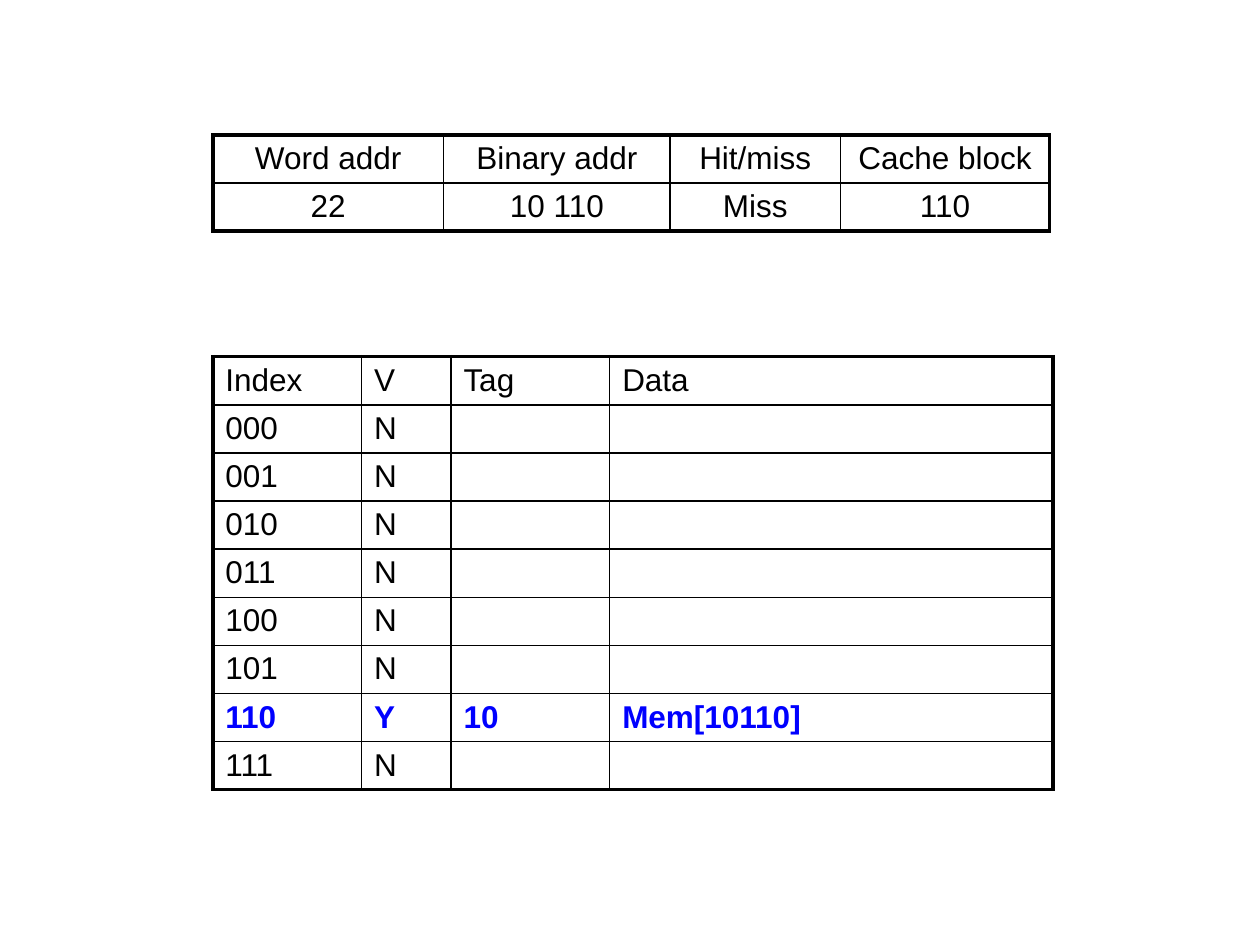
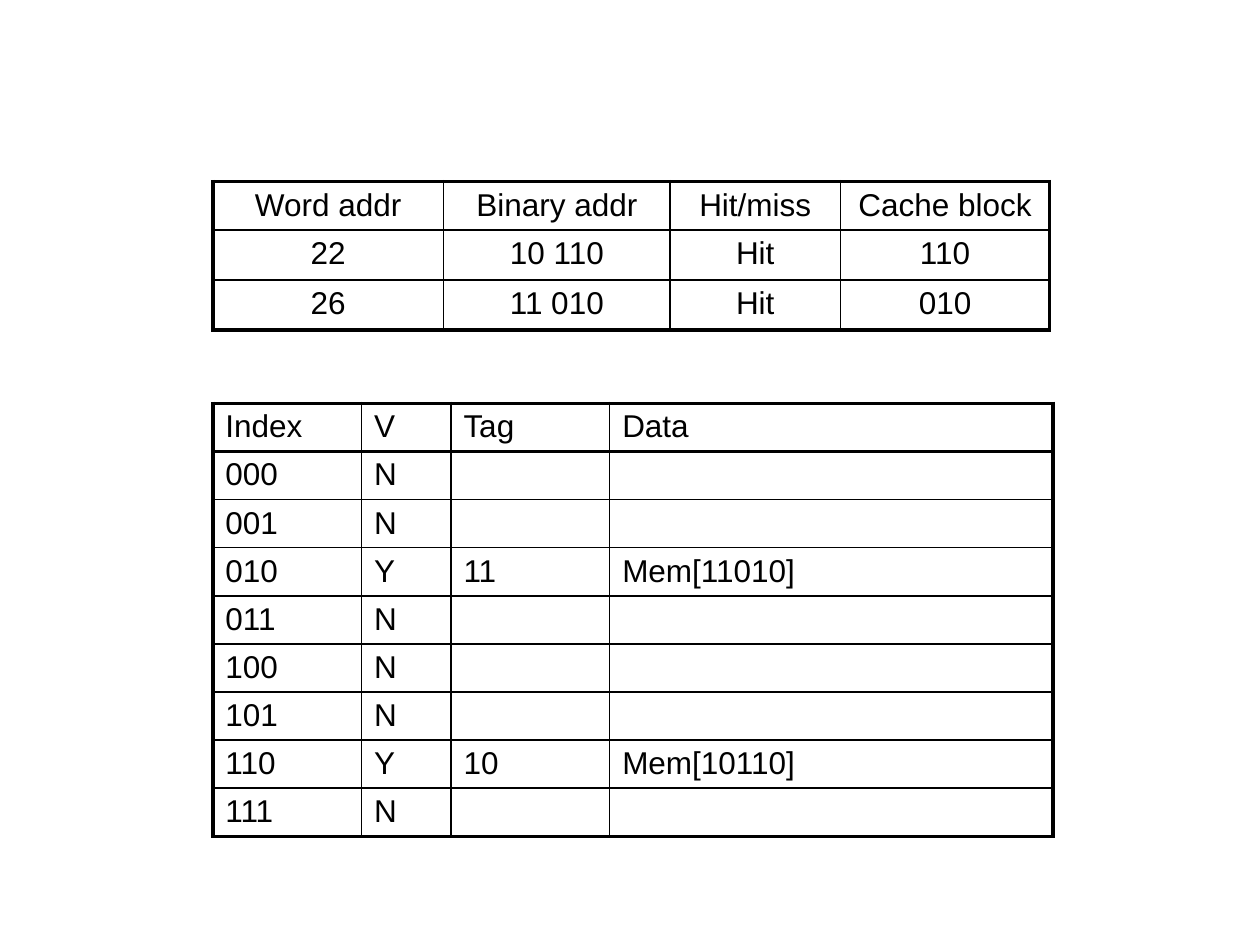
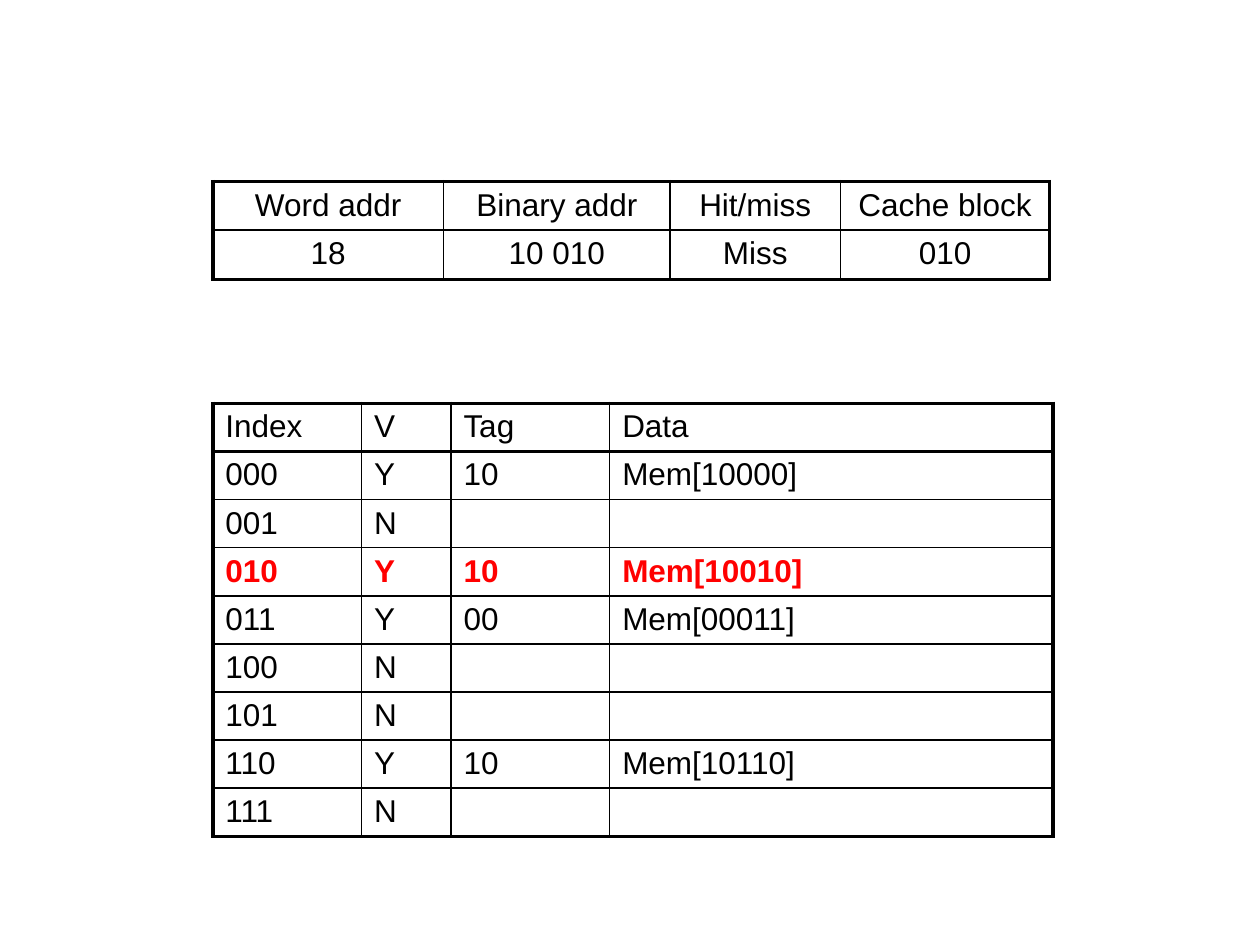
from dataclasses import dataclass

from lxml import etree
from pptx import Presentation
from pptx import util as u
from pptx.dml.color import RGBColor
from pptx.enum import text
from pptx.oxml import ns


@dataclass(frozen=True)
class Theme:
    font: str = "Arial"
    size: float = 18
    ink: str = "000000"
    loaded: str = "0000FF"
    replaced: str = "FF0000"
    outer_line: float = 2.25
    header_line: float = 1.5
    inner_line: float = 1


THEME = Theme()
TABLE_LEFT = 4.29
HEADER_HEIGHT = 0.97
ACCESS_HEADER = ("Word addr", "Binary addr", "Hit/miss", "Cache block")
ACCESS_WIDTHS = (4.65, 4.57, 3.43, 4.22)
CACHE_HEADER = ("Index", "V", "Tag", "Data")
CACHE_WIDTHS = (3, 1.8, 3.2, 8.94)


def add_border(cell, position, side, width):
    line = etree.Element(ns.qn(f"a:ln{side}"), w=str(u.Pt(width)))
    fill = etree.SubElement(line, ns.qn("a:solidFill"))
    etree.SubElement(fill, ns.qn("a:srgbClr"), val=THEME.ink)
    cell._tc.get_or_add_tcPr().insert(position, line)


def write_cell(cell, content, alignment, highlight):
    cell.fill.background()
    cell.margin_top = u.Cm(0.12)
    cell.margin_bottom = u.Cm(0.1)
    paragraph = cell.text_frame.paragraphs[0]
    paragraph.text = content
    paragraph.alignment = alignment
    paragraph.font.name = THEME.font
    paragraph.font.size = u.Pt(THEME.size)
    paragraph.font.bold = highlight is not None
    paragraph.font.color.rgb = RGBColor.from_string(highlight or THEME.ink)


def add_grid(slide, top, rows, widths, row_height, alignment, row_line, highlights):
    heights = [HEADER_HEIGHT] + [row_height] * (len(rows) - 1)
    frame = slide.shapes.add_table(
        len(rows), len(widths), u.Cm(TABLE_LEFT), u.Cm(top),
        u.Cm(sum(widths)), u.Cm(sum(heights)))
    table = frame.table
    table.first_row = table.horz_banding = False
    for column, width in zip(table.columns, widths):
        column.width = u.Cm(width)
    for row, height in zip(table.rows, heights):
        row.height = u.Cm(height)

    outer = THEME.outer_line
    across = [outer, *[THEME.inner_line] * (len(widths) - 1), outer]
    down = [outer, THEME.header_line, *[row_line] * (len(rows) - 2), outer]
    for i, values in enumerate(rows):
        for j, content in enumerate(values):
            cell = table.cell(i, j)
            write_cell(cell, content, alignment, highlights.get(values[0]))
            borders = zip("LRTB", (across[j], across[j + 1], down[i], down[i + 1]))
            for position, (side, width) in enumerate(borders):
                add_border(cell, position, side, width)


def add_access_table(slide, top, accesses, row_height):
    add_grid(slide, top, [ACCESS_HEADER, *accesses], ACCESS_WIDTHS, row_height,
             text.PP_ALIGN.CENTER, THEME.header_line, {})


def add_cache_table(slide, top, tags, highlights):
    rows = [CACHE_HEADER]
    for block in range(8):
        index = f"{block:03b}"
        tag = tags.get(index)
        rows.append((index, "Y", tag, f"Mem[{tag}{index}]") if tag
                    else (index, "N", "", ""))
    add_grid(slide, top, rows, CACHE_WIDTHS, HEADER_HEIGHT,
             text.PP_ALIGN.LEFT, THEME.inner_line, highlights)


def add_cache_slide(presentation, top, accesses, tags, highlights, access_height=1.01):
    slide = presentation.slides.add_slide(presentation.slide_layouts[6])
    add_cache_table(slide, top + 4.47, tags, highlights)
    add_access_table(slide, top, accesses, access_height)


def main():
    presentation = Presentation()
    presentation.slide_width = u.Cm(25.4)
    presentation.slide_height = u.Cm(19.05)
    add_cache_slide(
        presentation, 2.72,
        [("22", "10 110", "Miss", "110")],
        {"110": "10"}, {"110": THEME.loaded}, HEADER_HEIGHT)
    add_cache_slide(
        presentation, 3.66,
        [("22", "10 110", "Hit", "110"), ("26", "11 010", "Hit", "010")],
        {"010": "11", "110": "10"}, {})
    add_cache_slide(
        presentation, 3.66,
        [("18", "10 010", "Miss", "010")],
        {"000": "10", "010": "10", "011": "00", "110": "10"},
        {"010": THEME.replaced})
    presentation.save("out.pptx")


if __name__ == "__main__":
    main()
